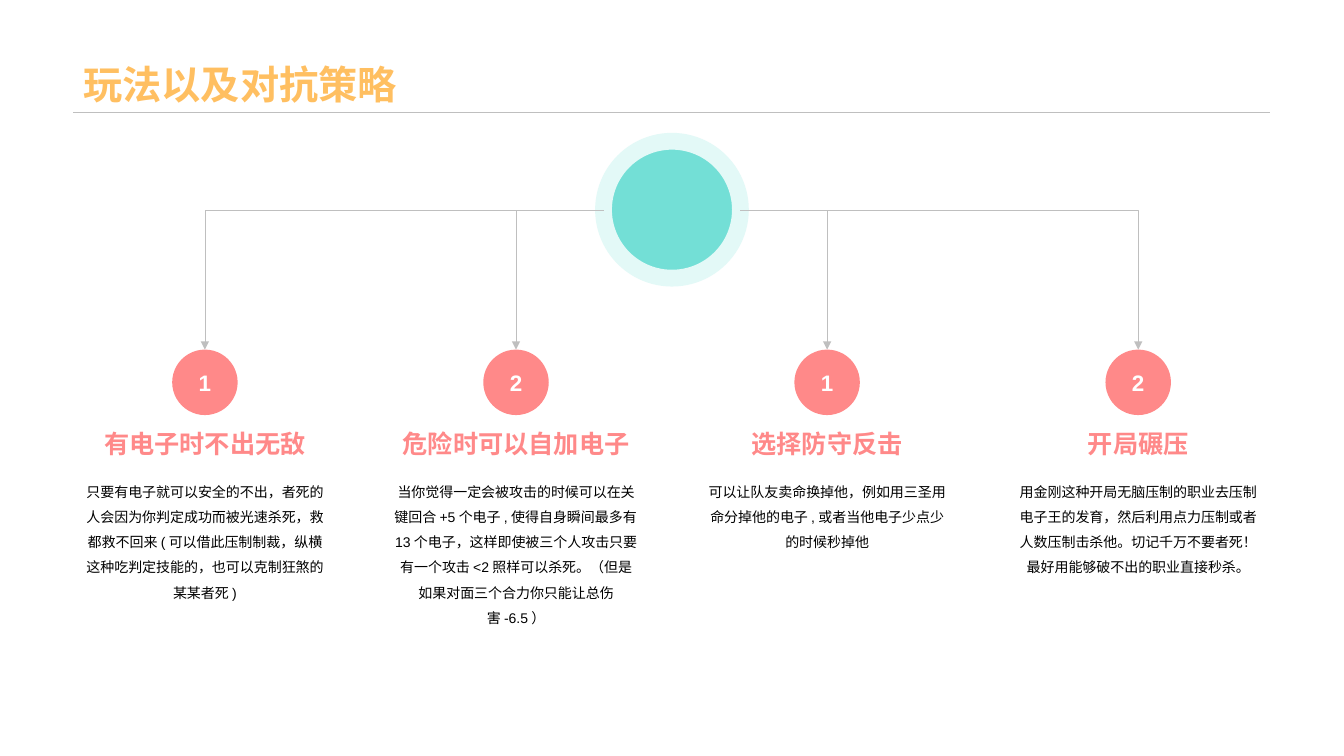
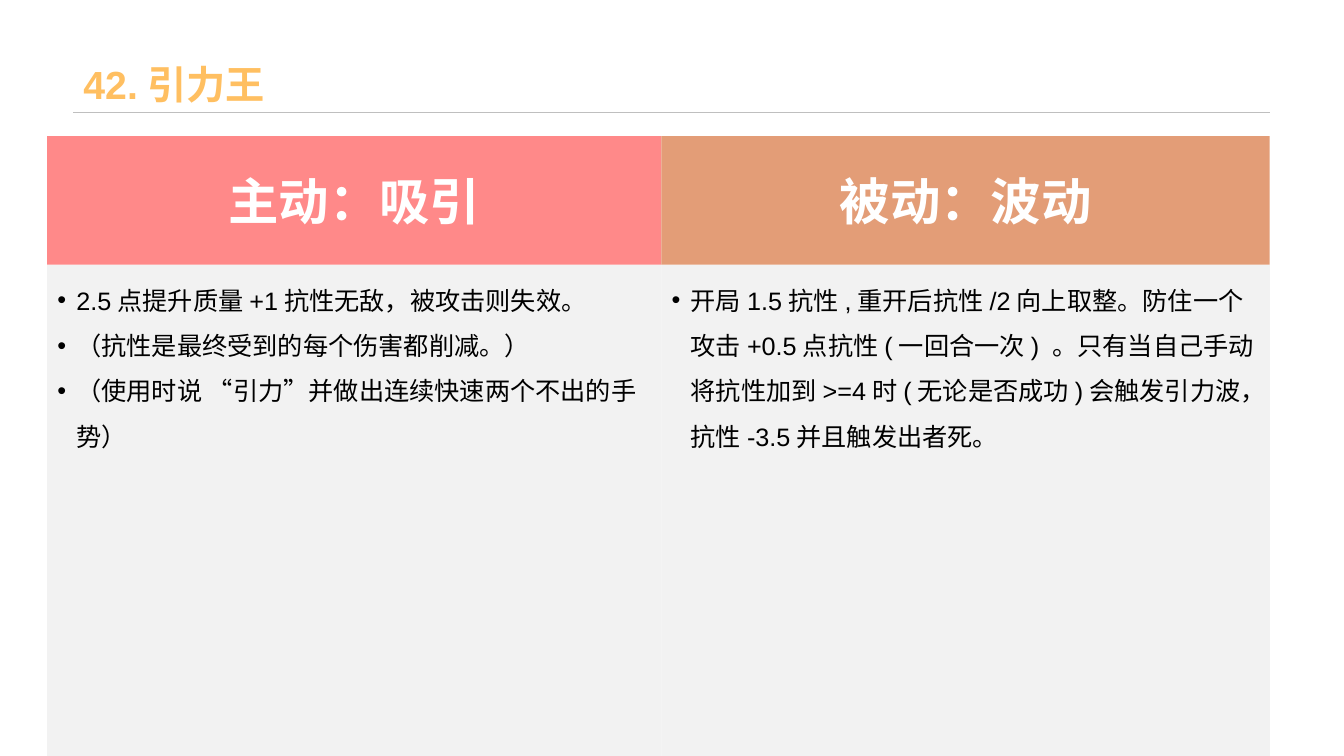
from dataclasses import dataclass

import pptx
import pptx.dml.color
import pptx.enum.shapes
import pptx.enum.text
import pptx.oxml.ns
import pptx.presentation
import pptx.shapes.autoshape
import pptx.shapes.connector
import pptx.slide
import pptx.text.text
import pptx.util
from lxml import etree
from pptx.dml.color import RGBColor
from pptx.enum.shapes import MSO_CONNECTOR, MSO_SHAPE
from pptx.enum.text import MSO_ANCHOR, MSO_AUTO_SIZE, PP_ALIGN
from pptx.oxml.ns import qn
from pptx.util import Cm, Pt


@dataclass(frozen=True)
class Theme:
    font: str = "Arial"
    title: str = "FFBF61"
    coral: str = "FF8989"
    copper: str = "E39D77"
    teal: str = "73DFD6"
    ring: str = "E3F9F7"
    rule: str = "BFBFBF"
    panel: str = "F2F2F2"
    white: str = "FFFFFF"
    black: str = "000000"
    title_size: int = 28
    header_size: int = 36
    list_size: int = 18
    heading_size: int = 18
    number_size: int = 16
    body_size: int = 10


@dataclass(frozen=True)
class Box:
    """A rectangle in centimetres."""
    left: float
    top: float
    width: float
    height: float

    def lengths(self) -> tuple[Cm, Cm, Cm, Cm]:
        return Cm(self.left), Cm(self.top), Cm(self.width), Cm(self.height)


@dataclass(frozen=True)
class Strategy:
    number: str
    heading: str
    body: str


@dataclass(frozen=True)
class Skill:
    header: str
    color: str
    left: float
    width: float
    points: tuple[str, ...]


THEME = Theme()
SLIDE_WIDTH, SLIDE_HEIGHT = 33.87, 19.05
MARGIN, RIGHT_EDGE, RULE_TOP = 1.85, 32.0, 2.84

HUB_SIZE, HUB_TOP = 3.45, 3.56
NODE_SIZE, NODE_TOP = 1.65, 8.81
COLUMN_WIDTH = 6.63
HEADING_TOP, HEADING_HEIGHT = 10.53, 1.31
BODY_TOP, BODY_HEIGHT = 11.84, 4.06
ELLIPSE_TOP, ELLIPSE_LEFT, ELLIPSE_RIGHT = 0, 2, 6

HEADER_TOP, PANEL_TOP = 3.43, 6.67
BULLET_INDENT = Cm(0.48)

STRATEGIES = (
    Strategy("1", "有电子时不出无敌",
             "只要有电子就可以安全的不出，者死的人会因为你判定成功而被光速杀死，救都救不回来"
             "(可以借此压制制裁，纵横这种吃判定技能的，也可以克制狂煞的某某者死)"),
    Strategy("2", "危险时可以自加电子",
             "当你觉得一定会被攻击的时候可以在关键回合+5个电子,使得自身瞬间最多有13个电子，"
             "这样即使被三个人攻击只要有一个攻击<2照样可以杀死。"
             "（但是如果对面三个合力你只能让总伤害-6.5）"),
    Strategy("1", "选择防守反击",
             "可以让队友卖命换掉他，例如用三圣用命分掉他的电子,或者当他电子少点少的时候秒掉他"),
    Strategy("2", "开局碾压",
             "用金刚这种开局无脑压制的职业去压制电子王的发育，然后利用点力压制或者人数压制击杀他。"
             "切记千万不要者死！最好用能够破不出的职业直接秒杀。"),
)

SKILLS = (
    Skill("主动：吸引", THEME.coral, 1.19, 15.48, (
        "2.5点提升质量+1抗性无敌，被攻击则失效。",
        "（抗性是最终受到的每个伤害都削减。）",
        "（使用时说 “引力”并做出连续快速两个不出的手势）",
    )),
    Skill("被动：波动", THEME.copper, 16.67, 15.33, (
        "开局1.5抗性,重开后抗性/2向上取整。防住一个攻击+0.5点抗性(一回合一次) 。"
        "只有当自己手动将抗性加到>=4时(无论是否成功)会触发引力波，抗性-3.5并且触发出者死。",
    )),
)


def rgb(color: str) -> RGBColor:
    return RGBColor.from_string(color)


def write(paragraph: pptx.text.text._Paragraph, text: str, size: int, color: str,
          bold: bool = False, align: PP_ALIGN = PP_ALIGN.CENTER,
          spacing: float = 1.0) -> None:
    paragraph.alignment = align
    paragraph.line_spacing = spacing
    paragraph.space_before = Pt(0)
    run = paragraph.add_run()
    run.text = text
    run.font.name = THEME.font
    run.font.size = Pt(size)
    run.font.bold = bold
    run.font.color.rgb = rgb(color)


def add_filled_shape(slide: pptx.slide.Slide, kind: MSO_SHAPE, box: Box,
                     color: str) -> pptx.shapes.autoshape.Shape:
    shape = slide.shapes.add_shape(kind, *box.lengths())
    shape.shadow.inherit = False
    shape.fill.solid()
    shape.fill.fore_color.rgb = rgb(color)
    shape.line.fill.background()
    shape.text_frame.vertical_anchor = MSO_ANCHOR.MIDDLE
    return shape


def add_text_box(slide: pptx.slide.Slide, box: Box,
                 anchor: MSO_ANCHOR) -> pptx.text.text._Paragraph:
    """Add an empty wrapping text box and return its first paragraph."""
    frame = slide.shapes.add_textbox(*box.lengths()).text_frame
    frame.word_wrap = True
    frame.vertical_anchor = anchor
    return frame.paragraphs[0]


def style_line(connector: pptx.shapes.connector.Connector, width: float) -> None:
    connector.line.color.rgb = rgb(THEME.rule)
    connector.line.width = Pt(width)
    etree.SubElement(connector.element.spPr, qn("a:effectLst"))


def place_placeholder(shape: pptx.shapes.autoshape.Shape, box: Box,
                      anchor: MSO_ANCHOR) -> pptx.text.text.TextFrame:
    shape.left, shape.top, shape.width, shape.height = box.lengths()
    frame = shape.text_frame
    frame.auto_size = MSO_AUTO_SIZE.NONE
    frame.word_wrap = True
    frame.vertical_anchor = anchor
    return frame


def add_titled_slide(presentation: pptx.presentation.Presentation, layout_name: str,
                     title: str) -> pptx.slide.Slide:
    layout = presentation.slide_layouts.get_by_name(layout_name)
    slide = presentation.slides.add_slide(layout)
    box = Box(MARGIN, 0, RIGHT_EDGE - MARGIN, RULE_TOP)
    frame = place_placeholder(slide.shapes.title, box, MSO_ANCHOR.BOTTOM)
    write(frame.paragraphs[0], title, THEME.title_size, THEME.title, bold=True,
          align=PP_ALIGN.LEFT, spacing=0.9)
    rule = slide.shapes.add_connector(MSO_CONNECTOR.STRAIGHT, Cm(MARGIN), Cm(RULE_TOP),
                                      Cm(RIGHT_EDGE), Cm(RULE_TOP))
    style_line(rule, 0.5)
    return slide


def add_branch(slide: pptx.slide.Slide, hub: pptx.shapes.autoshape.Shape,
               node: pptx.shapes.autoshape.Shape) -> None:
    """Run a one-bend arrow from the side of the hub to the top of a node."""
    node_center = node.left + node.width // 2
    goes_left = node_center < hub.left
    start = hub.left if goes_left else hub.left + hub.width
    branch = slide.shapes.add_connector(MSO_CONNECTOR.ELBOW, start,
                                        hub.top + hub.height // 2, node_center, node.top)
    style_line(branch, 0.25)
    branch.element.spPr.find(qn("a:prstGeom")).set("prst", "bentConnector2")
    etree.SubElement(branch.line._get_or_add_ln(), qn("a:tailEnd"), type="triangle")
    joints = branch.element.find(f".//{qn('p:cNvCxnSpPr')}")
    hub_site = ELLIPSE_LEFT if goes_left else ELLIPSE_RIGHT
    for tag, shape, site in (("a:stCxn", hub, hub_site), ("a:endCxn", node, ELLIPSE_TOP)):
        etree.SubElement(joints, qn(tag), id=str(shape.shape_id), idx=str(site))


def add_strategy(slide: pptx.slide.Slide, strategy: Strategy,
                 left: float) -> pptx.shapes.autoshape.Shape:
    """Draw one column and return its numbered circle."""
    node_left = left + (COLUMN_WIDTH - NODE_SIZE) / 2
    node = add_filled_shape(slide, MSO_SHAPE.OVAL,
                            Box(node_left, NODE_TOP, NODE_SIZE, NODE_SIZE), THEME.coral)
    node.text_frame.word_wrap = False
    write(node.text_frame.paragraphs[0], strategy.number, THEME.number_size,
          THEME.white, bold=True)
    heading = add_text_box(slide, Box(left, HEADING_TOP, COLUMN_WIDTH, HEADING_HEIGHT),
                           MSO_ANCHOR.MIDDLE)
    write(heading, strategy.heading, THEME.heading_size, THEME.coral, bold=True)
    body = add_text_box(slide, Box(left, BODY_TOP, COLUMN_WIDTH, BODY_HEIGHT),
                        MSO_ANCHOR.TOP)
    write(body, strategy.body, THEME.body_size, THEME.black, spacing=1.5)
    return node


def build_strategy_slide(presentation: pptx.presentation.Presentation) -> None:
    slide = add_titled_slide(presentation, "Title Only", "玩法以及对抗策略")
    hub_box = Box((SLIDE_WIDTH - HUB_SIZE) / 2, HUB_TOP, HUB_SIZE, HUB_SIZE)
    hub = add_filled_shape(slide, MSO_SHAPE.OVAL, hub_box, THEME.teal)
    hub.line.color.rgb = rgb(THEME.ring)
    hub.line.width = Pt(12)
    pitch = (RIGHT_EDGE - MARGIN - COLUMN_WIDTH) / (len(STRATEGIES) - 1)
    for index, strategy in enumerate(STRATEGIES):
        node = add_strategy(slide, strategy, MARGIN + index * pitch)
        add_branch(slide, hub, node)


def add_bullet(paragraph: pptx.text.text._Paragraph) -> None:
    properties = paragraph._p.get_or_add_pPr()
    properties.set("marL", str(BULLET_INDENT))
    properties.set("indent", str(-BULLET_INDENT))
    etree.SubElement(properties, qn("a:buFont"), typeface=THEME.font)
    etree.SubElement(properties, qn("a:buChar"), char="•")


def add_skill(slide: pptx.slide.Slide, skill: Skill,
              body: pptx.shapes.autoshape.Shape) -> None:
    header_box = Box(skill.left, HEADER_TOP, skill.width, PANEL_TOP - HEADER_TOP)
    header = add_filled_shape(slide, MSO_SHAPE.RECTANGLE, header_box, skill.color)
    write(header.text_frame.paragraphs[0], skill.header, THEME.header_size,
          THEME.white, bold=True)
    panel_box = Box(skill.left, PANEL_TOP, skill.width, SLIDE_HEIGHT - PANEL_TOP)
    frame = place_placeholder(body, panel_box, MSO_ANCHOR.TOP)
    body.fill.solid()
    body.fill.fore_color.rgb = rgb(THEME.panel)
    for index, point in enumerate(skill.points):
        paragraph = frame.add_paragraph() if index else frame.paragraphs[0]
        write(paragraph, point, THEME.list_size, THEME.black,
              align=PP_ALIGN.LEFT, spacing=1.5)
        add_bullet(paragraph)


def build_skill_slide(presentation: pptx.presentation.Presentation) -> None:
    slide = add_titled_slide(presentation, "Two Content", "42.引力王")
    bodies = [slide.placeholders[1], slide.placeholders[2]]
    for skill, body in zip(SKILLS, bodies):
        add_skill(slide, skill, body)


def main() -> None:
    presentation = pptx.Presentation()
    presentation.slide_width = Cm(SLIDE_WIDTH)
    presentation.slide_height = Cm(SLIDE_HEIGHT)
    build_strategy_slide(presentation)
    build_skill_slide(presentation)
    presentation.save("out.pptx")


if __name__ == "__main__":
    main()
